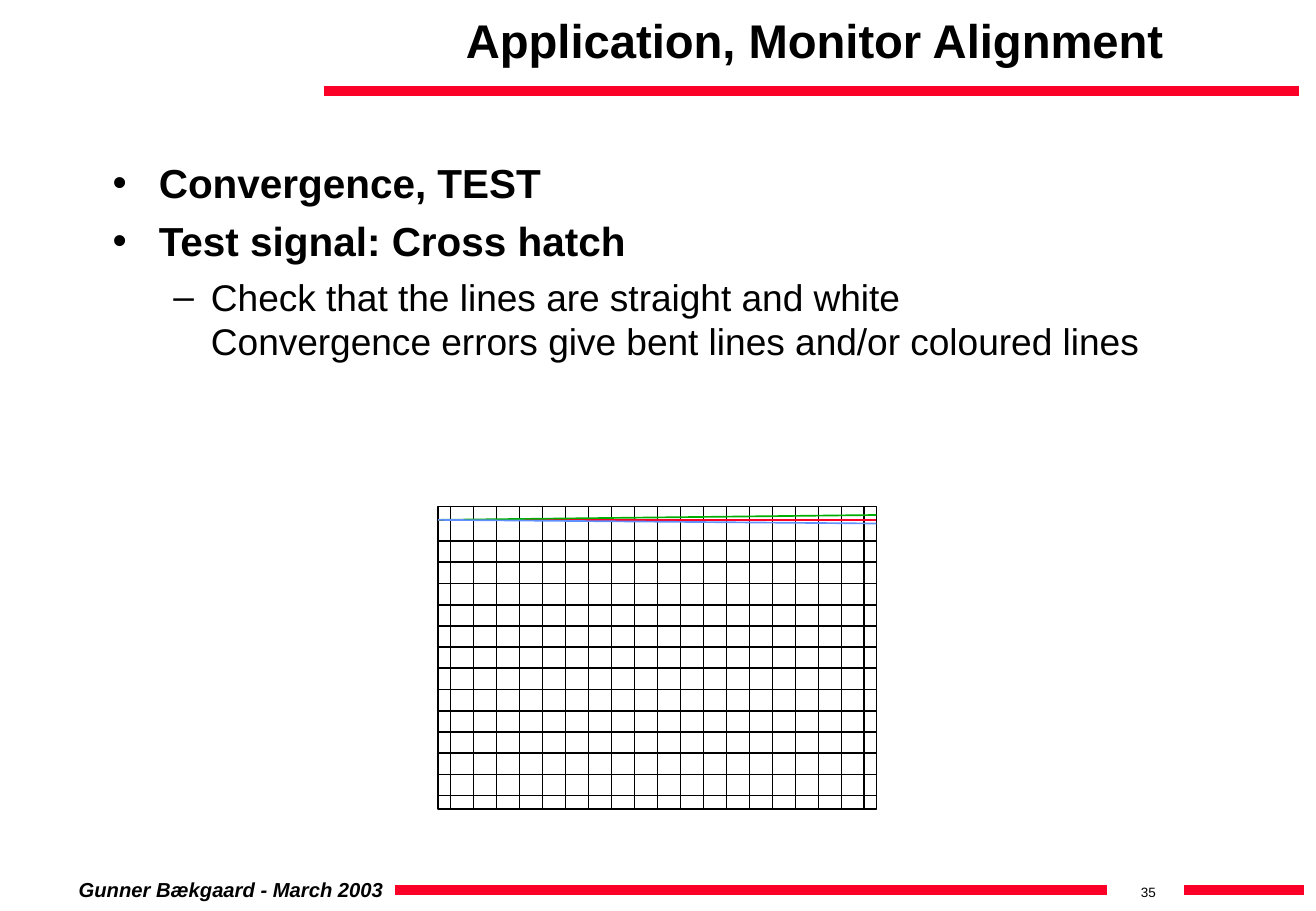
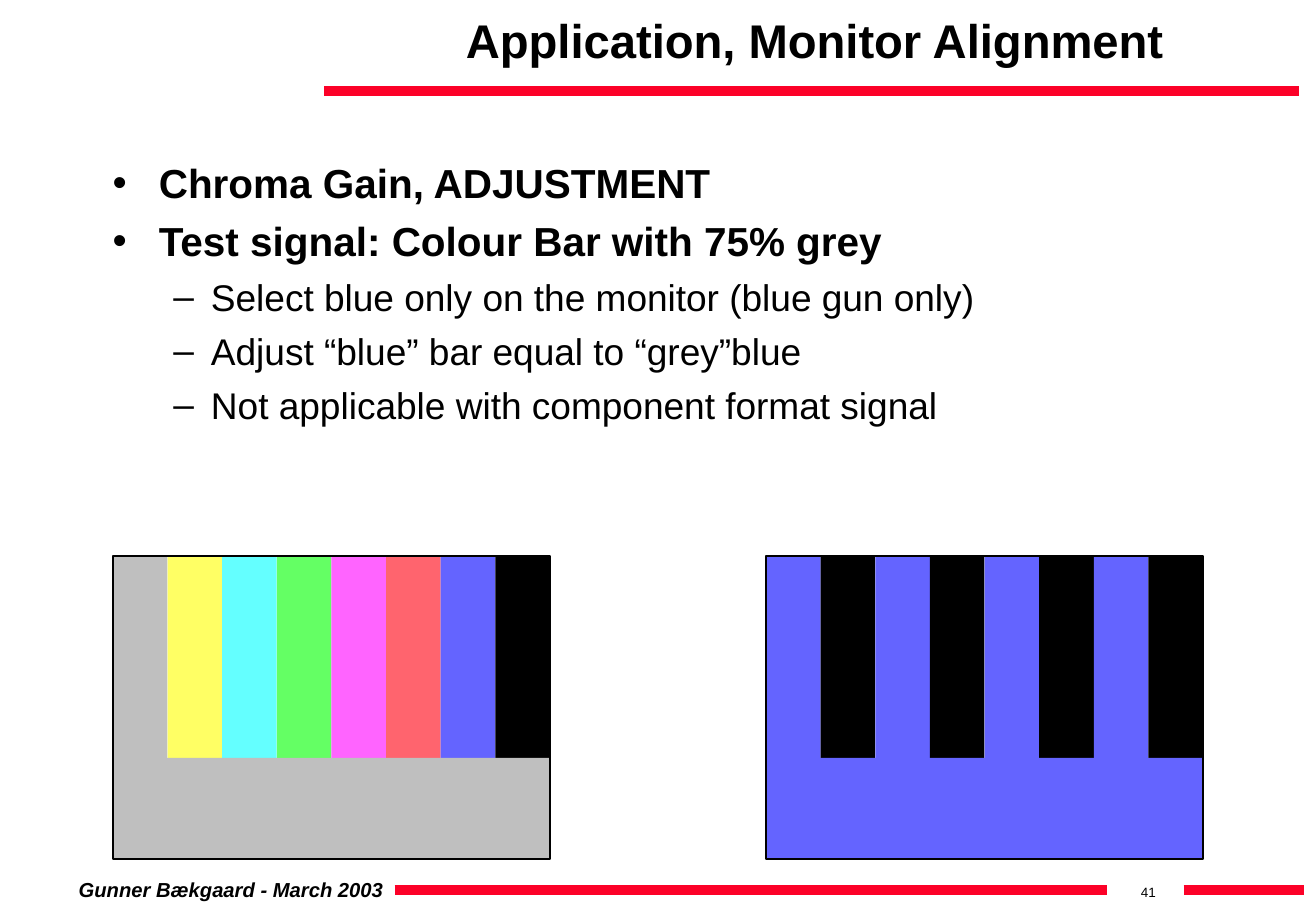
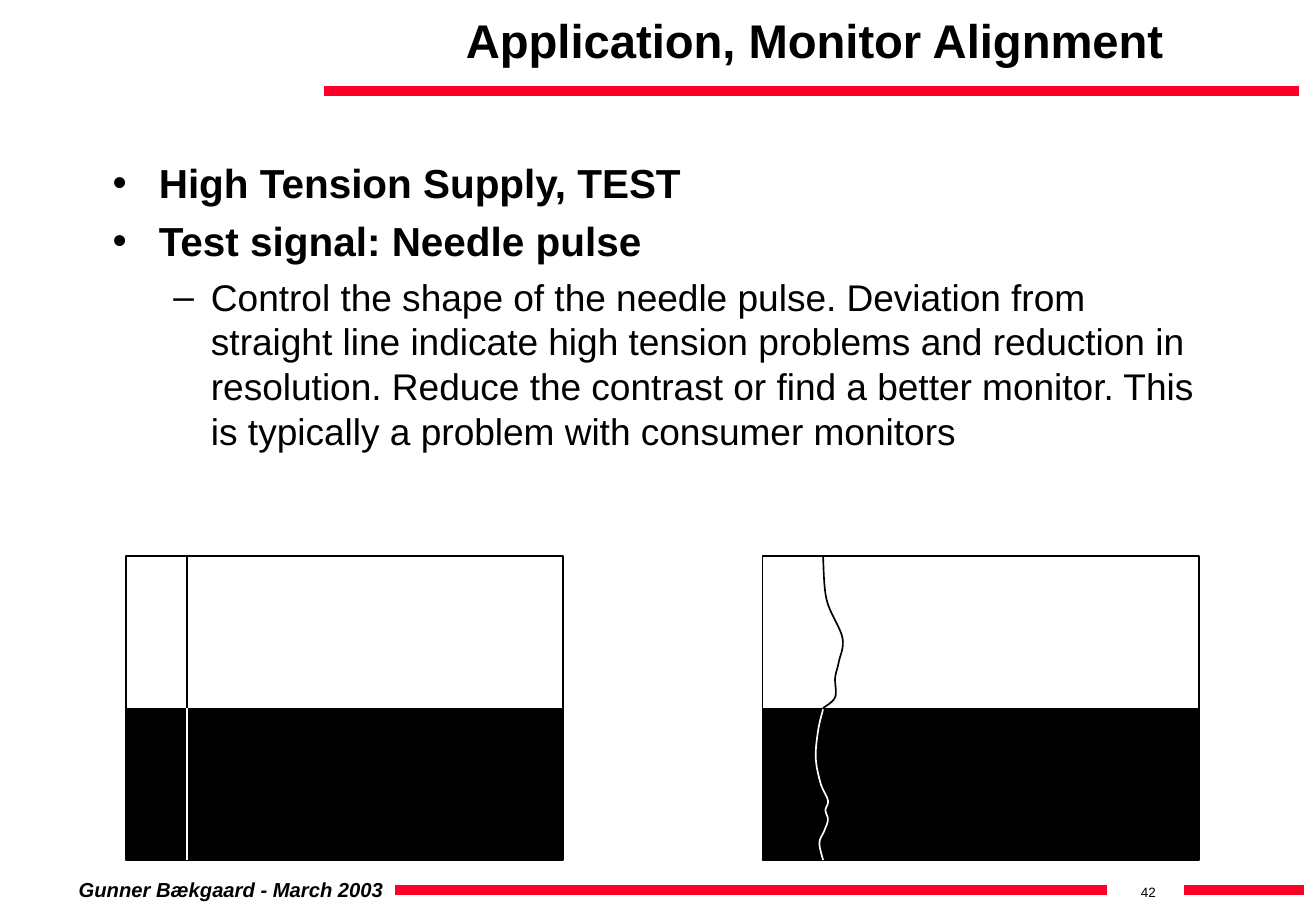
from lxml import etree
from pptx import Presentation
from pptx.dml.color import RGBColor
from pptx.enum.shapes import MSO_CONNECTOR, MSO_SHAPE
from pptx.enum.text import MSO_ANCHOR, PP_ALIGN
from pptx.oxml.ns import qn
from pptx.util import Pt

STRAIGHT = MSO_CONNECTOR.STRAIGHT
RECTANGLE = MSO_SHAPE.RECTANGLE
LEFT, CENTER = PP_ALIGN.LEFT, PP_ALIGN.CENTER
TOP, MIDDLE = MSO_ANCHOR.TOP, MSO_ANCHOR.MIDDLE

PX = 9144  # 100 px to the inch
FONT = "Arial"
BLACK, WHITE, RED = "000000", "FFFFFF", "FC0128"
GREEN, LIGHT_BLUE = "00AE00", "618FFD"
GREY, BLUE = "BFBFBF", "6464FF"
COLOUR_BARS = [GREY, "FFFF64", "64FFFF", "64FF64", "FF64FF", "FF646E", BLUE, BLACK]
BLUE_ONLY_BARS = [BLUE, BLACK] * 4

TITLE = "Application, Monitor Alignment"
FOOTER = "Gunner Bækgaard - March 2003"
BANDS = [(267, 1070, 75), (325, 912, 733), (975, 1074, 733)]  # left, right, y

# Per level: bullet, text indent, hanging indent, size, space before, bold
LEVELS = [("•", 38, 38, 24, 6, True), ("–", 81, 31, 22, 5.5, False)]

# Needle outlines, relative to the screen
BENT_UPPER = [(50, 0), (53, 36), (66, 67), (63, 87), (60, 100), (60, 116), (50, 125)]
BENT_LOWER = [(50, 126), (46, 143), (44, 166), (48, 187), (54, 201), (52, 209),
              (54, 217), (51, 226), (47, 236), (50, 250)]


def px(length):
    return round(length * PX)


def rgb(value):
    return RGBColor.from_string(value)


def add_line(shapes, start, end, colour=BLACK, width=1):
    line = shapes.add_connector(STRAIGHT, *(px(value) for value in (*start, *end)))
    line.line.color.rgb = rgb(colour)
    line.line.width = Pt(width)
    etree.SubElement(line._element.spPr, qn("a:effectLst"))


def add_rectangle(shapes, box, fill=None, outline=None):
    shape = shapes.add_shape(RECTANGLE, *(px(value) for value in box))
    shape.shadow.inherit = False
    if fill:
        shape.fill.solid()
        shape.fill.fore_color.rgb = rgb(fill)
    else:
        shape.fill.background()
    if outline:
        shape.line.color.rgb = rgb(outline)
        shape.line.width = Pt(1)
    else:
        shape.line.fill.background()


def add_text_frame(slide, box, anchor=TOP, wrap=True):
    frame = slide.shapes.add_textbox(*(px(value) for value in box)).text_frame
    frame.word_wrap = wrap
    frame.vertical_anchor = anchor
    return frame


def add_run(paragraph, text, size, bold=False, italic=False):
    run = paragraph.add_run()
    run.text = text
    run.font.name = FONT
    run.font.size = Pt(size)
    run.font.bold = bold
    run.font.italic = italic
    run.font.color.rgb = rgb(BLACK)


def add_label(slide, box, text, size, bold=False, italic=False,
              align=LEFT, anchor=TOP, wrap=True):
    paragraph = add_text_frame(slide, box, anchor, wrap).paragraphs[0]
    paragraph.alignment = align
    add_run(paragraph, text, size, bold, italic)


def set_bullet(paragraph, character, indent, hanging):
    properties = paragraph._p.get_or_add_pPr()
    properties.set("marL", str(px(indent)))
    properties.set("indent", str(-px(hanging)))
    colour = etree.SubElement(properties, qn("a:buClr"))
    etree.SubElement(colour, qn("a:srgbClr"), val=BLACK)
    etree.SubElement(properties, qn("a:buFont"), typeface=FONT)
    etree.SubElement(properties, qn("a:buChar"), char=character)


def add_body(slide, box, items):
    frame = add_text_frame(slide, box)
    for index, (level, text) in enumerate(items):
        character, indent, hanging, size, space, bold = LEVELS[level]
        paragraph = frame.add_paragraph() if index else frame.paragraphs[0]
        paragraph.level = level
        paragraph.space_before = Pt(space)
        set_bullet(paragraph, character, indent, hanging)
        for number, line in enumerate(text.split("\n")):
            if number:
                paragraph.add_line_break()
            add_run(paragraph, line, size, bold)


def add_base_slide(presentation, number, items):
    """Slide with the shared bands, footer, title and bullet list."""
    slide = presentation.slides.add_slide(presentation.slide_layouts[6])
    for left, right, y in BANDS:
        add_line(slide.shapes, (left, y), (right, y), RED, 6)
    add_label(slide, (930, 723, 38, 23), str(number), 8)
    add_label(slide, (55, 717, 271, 30), FOOTER, 12, True, True, wrap=False)
    add_label(slide, (267, 8, 808, 50), TITLE, 28, True, align=CENTER, anchor=MIDDLE)
    add_body(slide, (83, 125, 917, 550), items)
    return slide


def add_cross_hatch(slide, left, top, width, height):
    shapes = slide.shapes.add_group_shape().shapes
    right, bottom = left + width, top + height
    add_rectangle(shapes, (left, top, width, height), outline=BLACK)
    # Grid: 19 columns and 14 rows at equal steps; the top row is red
    columns, rows = 19, 14
    for column in range(columns):
        x = left + 10 + (width - 20) * column / (columns - 1)
        add_line(shapes, (x, top), (x, bottom))
    first_row = top + 11
    for row in range(rows):
        y = first_row + (height - 22) * row / (rows - 1)
        add_line(shapes, (right, y), (left, y), BLACK if row else RED)
    # Convergence errors fan out from the left end of the top row
    for drift, colour in ((-4, GREEN), (3, LIGHT_BLUE)):
        add_line(shapes, (right, first_row + drift), (left, first_row), colour)


def add_bar_screen(slide, left, top, width, height, bars):
    shapes = slide.shapes.add_group_shape().shapes
    bar_width = width / len(bars)
    for index, colour in enumerate(bars):
        add_rectangle(shapes, (left + index * bar_width, top, bar_width, height), colour)
    # Lower field in the colour of the first bar
    field_top = 166
    add_rectangle(shapes, (left, top + field_top, width, height - field_top), bars[0])
    add_rectangle(shapes, (left, top, width, height), outline=BLACK)


def smooth_points(knots, steps=8):
    """Points of a Catmull-Rom curve through the knots."""
    padded = [knots[0], *knots, knots[-1]]
    points = [knots[0]]
    for a, b, c, d in zip(padded, padded[1:], padded[2:], padded[3:]):
        for step in range(1, steps + 1):
            t = step / steps
            points.append(tuple(
                (2 * q + (r - p) * t + (2 * p - 5 * q + 4 * r - s) * t ** 2
                 + (3 * q - p - 3 * r + s) * t ** 3) / 2
                for p, q, r, s in zip(a, b, c, d)))
    return points


def add_curve(shapes, left, top, knots, colour):
    points = [(px(left + x), px(top + y)) for x, y in smooth_points(knots)]
    builder = shapes.build_freeform(*points[0])
    builder.add_line_segments(points[1:], close=False)
    curve = builder.convert_to_shape()
    curve.shadow.inherit = False
    curve.fill.background()
    curve.line.color.rgb = rgb(colour)
    curve.line.width = Pt(1)


def add_needle_screen(slide, left, top, width, height, bent):
    shapes = slide.shapes.add_group_shape().shapes
    half = height / 2
    add_rectangle(shapes, (left, top + half, width, half), BLACK)
    add_rectangle(shapes, (left, top, width, height), outline=BLACK)
    if bent:
        add_curve(shapes, left, top, BENT_UPPER, BLACK)
        add_curve(shapes, left, top, BENT_LOWER, WHITE)
    else:
        x = left + 50
        add_line(shapes, (x, top), (x, top + half))
        add_line(shapes, (x, top + half), (x, top + height), WHITE)


def main():
    presentation = Presentation()
    presentation.slide_width = px(1084)
    presentation.slide_height = px(750)

    slide = add_base_slide(presentation, 35, [
        (0, "Convergence, TEST"),
        (0, "Test signal: Cross hatch"),
        (1, "Check that the lines are straight and white\n"
            "Convergence errors give bent lines and/or coloured lines"),
    ])
    add_cross_hatch(slide, 361, 417, 361, 249)

    slide = add_base_slide(presentation, 41, [
        (0, "Chroma Gain, ADJUSTMENT"),
        (0, "Test signal: Colour Bar with 75% grey"),
        (1, "Select blue only on the monitor (blue gun only)"),
        (1, "Adjust “blue” bar equal to “grey”blue"),
        (1, "Not applicable with component format signal"),
    ])
    for left, bars in ((93, COLOUR_BARS), (631, BLUE_ONLY_BARS)):
        add_bar_screen(slide, left, 458, 360, 249, bars)

    slide = add_base_slide(presentation, 42, [
        (0, "High Tension Supply, TEST"),
        (0, "Test signal: Needle pulse"),
        (1, "Control the shape of the needle pulse. Deviation from straight line "
            "indicate high tension problems and reduction in resolution. Reduce the "
            "contrast or find a better monitor. This is typically a problem with "
            "consumer monitors"),
    ])
    for left, bent in ((104, False), (628, True)):
        add_needle_screen(slide, left, 458, 360, 250, bent)

    presentation.save("out.pptx")


if __name__ == "__main__":
    main()
